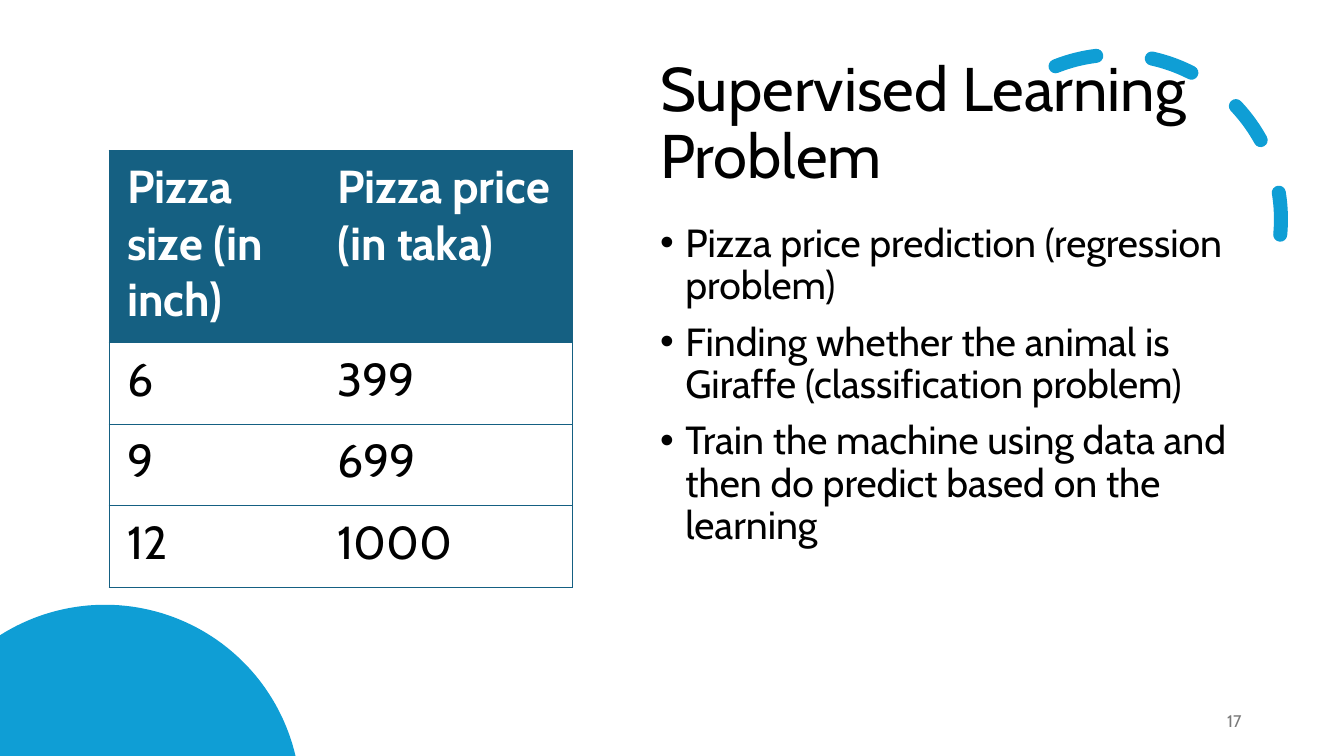
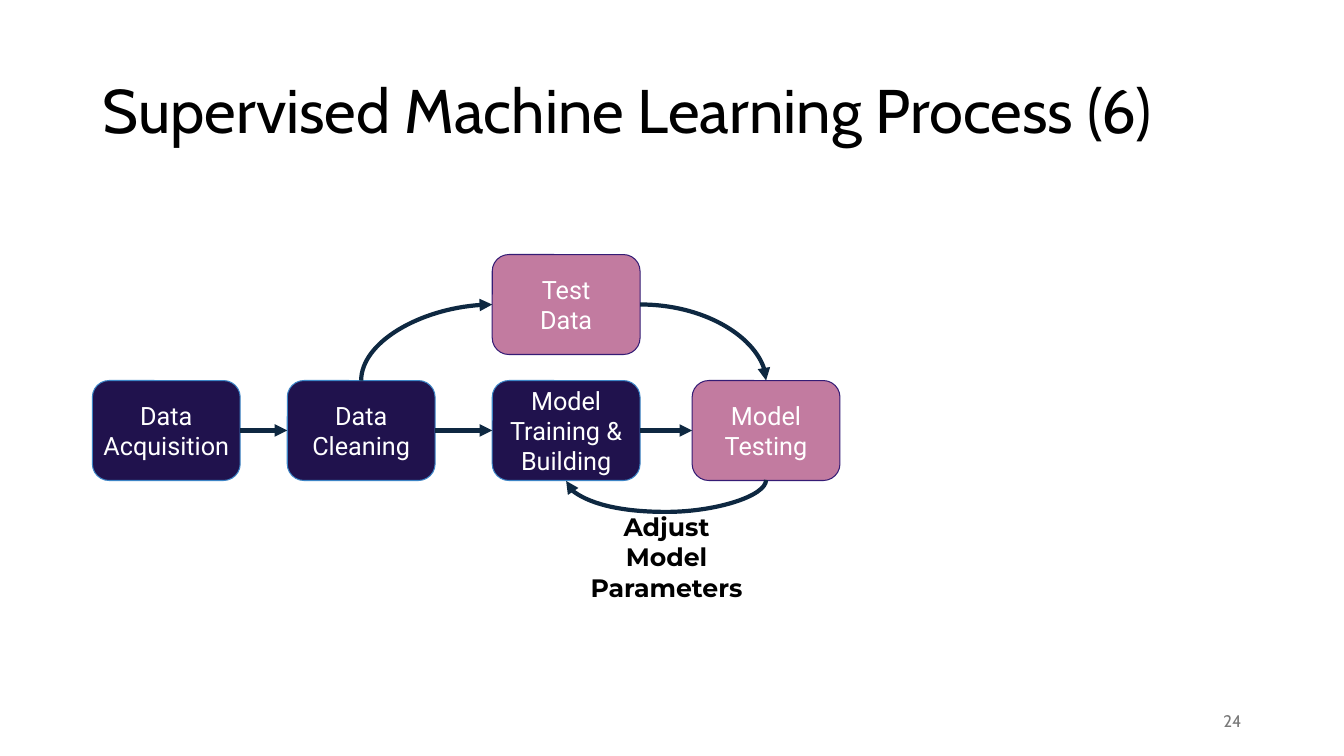
from math import acos, asin, cos, pi, sin
from pptx import Presentation, util as u
from pptx.dml.color import RGBColor
from pptx.enum import dml, shapes, text
from pptx.oxml import parse_xml
from pptx.oxml.ns import nsdecls, qn
from pptx.oxml.xmlchemy import OxmlElement

BLACK = RGBColor(0, 0, 0)
WHITE = RGBColor(255, 255, 255)
GREY = RGBColor(0x79, 0x79, 0x79)
SKY = RGBColor(0x0F, 0x9E, 0xD5)
TEAL = RGBColor(0x15, 0x60, 0x82)
NAVY = RGBColor(0x0E, 0x28, 0x41)
PLUM = RGBColor(0x20, 0x12, 0x4D)
EDGE = RGBColor(0x3D, 0x85, 0xC6)
PINK = RGBColor(0xC2, 0x7B, 0xA0)
GRAPE = RGBColor(0x35, 0x1C, 0x75)

CELL = u.Inches(1) // 12
COLS, ROWS = 160, 90
MID = text.MSO_ANCHOR.MIDDLE
LEFT, RIGHT, MIDST = text.PP_ALIGN.LEFT, text.PP_ALIGN.RIGHT, text.PP_ALIGN.CENTER
FIXED = {"auto_size": text.MSO_AUTO_SIZE.NONE, "word_wrap": True}
SNUG = {"margin_left": 0, "margin_right": 0, "margin_top": 0, "margin_bottom": 0}
PAD = dict.fromkeys(SNUG, u.Inches(0.1))

TITLE = {
    "frame": {**FIXED, "vertical_anchor": MID},
    "para": {"alignment": LEFT, "line_spacing": 0.9},
    "font": {"name": "Cabin", "size": u.Pt(44)}, "ink": BLACK}
LIST = {
    "frame": FIXED,
    "para": {"alignment": LEFT, "line_spacing": 0.9, "space_before": u.Pt(10)},
    "font": {"name": "Cabin", "size": u.Pt(28)}, "ink": BLACK}
PAGE = {
    "frame": {**FIXED, "vertical_anchor": MID},
    "para": {"alignment": RIGHT},
    "font": {"name": "Cabin", "size": u.Pt(12)}, "ink": GREY}
STEP = {
    "frame": {**FIXED, **SNUG, "vertical_anchor": MID},
    "para": {"alignment": MIDST},
    "font": {"name": "Roboto", "size": u.Pt(18)}, "ink": WHITE}
NOTE = {
    "frame": {**FIXED, **PAD},
    "para": {"alignment": MIDST},
    "font": {"name": "Montserrat", "size": u.Pt(18), "bold": True}, "ink": BLACK}
HEAD = {
    "frame": {"word_wrap": True}, "para": {"alignment": LEFT},
    "font": {"name": "Cabin", "size": u.Pt(33), "bold": True}, "ink": WHITE}
DATA = {**HEAD, "font": {**HEAD["font"], "bold": False}, "ink": BLACK}


def at(*cells):
    return [round(c * CELL) for c in cells]


def write(frame, words, form):
    frame.text = words
    for key, val in form["frame"].items():
        setattr(frame, key, val)
    for i, para in enumerate(frame.paragraphs):
        for key, val in form["para"].items():
            setattr(para, key, val)
        if i == 0:
            para.space_before = u.Pt(0)
        for key, val in form["font"].items():
            setattr(para.font, key, val)
        para.font.color.rgb = form["ink"]


deck = Presentation()
deck.slide_width, deck.slide_height = at(COLS, ROWS)

pages = []
for kind, words, num, spot in (
        (1, "Supervised Learning Problem", "17", (77.4, 6.2, 71.6, 17.4)),
        (5, "Supervised Machine Learning Process (6)", "24", (11, 4.8, 138, 17.4))):
    page = deck.slides.add_slide(deck.slide_layouts[kind])
    title = page.shapes.title
    title.left, title.top, title.width, title.height = at(*spot)
    write(title.text_frame, words, TITLE)
    foot = page.shapes.add_textbox(*at(113, 83.4, 36, 4.8))
    write(foot.text_frame, num, PAGE)
    pages.append(page)
pizza, flow = pages

arc = pizza.shapes.add_shape(shapes.MSO_SHAPE.ARC, *at(113.3, 6.5, 39.2, 39.2))
arc.shadow.inherit = False
arc.fill.background()
arc.rotation = 66.1
arc.adjustments[0], arc.adjustments[1] = 144.42, 0
arc.line.color.rgb = SKY
arc.line.width = u.Pt(10)
arc.line.dash_style = dml.MSO_LINE.DASH
arc._element.spPr.find(qn("a:xfrm")).set("flipH", "1")
arc._element.spPr.find(qn("a:ln")).set("cap", "rnd")
pizza.shapes._spTree.insert(2, arc._element)

midx, midy, rad = 12.5, 95.3, 23.3
start = acos(midx / rad) - pi
end = -asin((midy - ROWS) / rad)
rim = []
for i in range(61):
    turn = start + (end - start) * i / 60
    rim.append(at(midx + rad * cos(turn), midy + rad * sin(turn)))
pen = pizza.shapes.build_freeform(*at(0, ROWS))
pen.add_line_segments(rim, close=True)
disc = pen.convert_to_shape()
disc.shadow.inherit = False
disc.fill.solid()
disc.fill.fore_color.rgb = SKY
disc.line.fill.background()

body = pizza.placeholders[1]
body.left, body.top, body.width, body.height = at(77.4, 26, 71.6, 55)
write(body.text_frame, "\n".join((
    "Pizza price prediction (regression problem)",
    "Finding whether the animal is Giraffe (classification problem)",
    "Train the machine using data and then do predict based on the learning")), LIST)
for para in body.text_frame.paragraphs:
    props = para._p.get_or_add_pPr()
    props.set("marL", str(3 * CELL))
    props.set("indent", str(-3 * CELL))

rows = (("Pizza size (in inch)", "Pizza price (in taka)"),
        ("6", "399"), ("9", "699"), ("12", "1000"))
wide, high = (25, 30.2), (22.9, 9.7, 9.7, 9.7)
grid = pizza.shapes.add_table(
    len(rows), len(wide), *at(13, 17.9, sum(wide), sum(high))).table
grid.first_row = grid.horz_banding = False
for col, size in zip(grid.columns, at(*wide)):
    col.width = size
for row, size in zip(grid.rows, at(*high)):
    row.height = size
for r, row in enumerate(rows):
    for c, words in enumerate(row):
        cell = grid.cell(r, c)
        write(cell.text_frame, words, DATA if r else HEAD)
        cell.margin_left = cell.margin_right = u.Inches(0.18)
        cell.margin_top = cell.margin_bottom = u.Inches(0.09)
        props = cell._tc.get_or_add_tcPr()
        for side in "LRTB":
            inner = side == "LR"[1 - c]
            paint = "<a:noFill/>" if inner else (
                f'<a:solidFill><a:srgbClr val="{TEAL}"/></a:solidFill>')
            props.append(parse_xml(
                f'<a:ln{side} {nsdecls("a")} w="{u.Pt(1)}">{paint}</a:ln{side}>'))
        if r:
            cell.fill.background()
        else:
            cell.fill.solid()
            cell.fill.fore_color.rgb = TEAL

steps = {}
for key, left, top, words, fill, edge in (
        ("get", 11, 45.3, "Data\nAcquisition", PLUM, EDGE),
        ("clean", 34.2, 45.3, "Data\nCleaning", PLUM, EDGE),
        ("train", 58.6, 45.3, "Model\nTraining &\nBuilding", PLUM, EDGE),
        ("test", 82.4, 45.3, "Model\nTesting", PINK, GRAPE),
        ("data", 58.6, 30.3, "Test\nData", PINK, GRAPE)):
    box = flow.shapes.add_shape(
        shapes.MSO_SHAPE.ROUNDED_RECTANGLE, *at(left, top, 17.6, 11.9))
    box.shadow.inherit = False
    box.fill.solid()
    box.fill.fore_color.rgb = fill
    box.line.color.rgb = edge
    box.line.width = u.Pt(0.75)
    write(box.text_frame, words, STEP)
    steps[key] = box

TOP, WEST, LOW, EAST = range(4)
for src, out, dst, into, kind, turn in (
        ("get", EAST, "clean", WEST, None, 0),
        ("clean", EAST, "train", WEST, None, 0),
        ("train", EAST, "test", WEST, None, 0),
        ("clean", TOP, "data", WEST, "curvedConnector2", 270),
        ("data", EAST, "test", TOP, "curvedConnector2", 0),
        ("test", LOW, "train", LOW, "curvedConnector3", 90)):
    form = shapes.MSO_CONNECTOR.CURVE if kind else shapes.MSO_CONNECTOR.STRAIGHT
    link = flow.shapes.add_connector(form, 0, 0, 0, 0)
    link.begin_connect(steps[src], out)
    link.end_connect(steps[dst], into)
    link.line.color.rgb = NAVY
    link.line.width = u.Pt(3)
    props = link._element.spPr
    tip = OxmlElement("a:tailEnd")
    tip.set("type", "triangle")
    props.find(qn("a:ln")).append(tip)
    props.append(OxmlElement("a:effectLst"))
    if kind:
        midx = (link.begin_x + link.end_x) // 2
        midy = (link.begin_y + link.end_y) // 2
        size = [link.width, max(link.height, CELL // 8)]
        if turn:
            size.reverse()
        frame = props.find(qn("a:xfrm"))
        frame.attrib.clear()
        frame.set("rot", str(turn * 60000))
        link.width, link.height = size
        link.left, link.top = midx - size[0] // 2, midy - size[1] // 2
        shape = props.find(qn("a:prstGeom"))
        shape.set("prst", kind)
        if kind == "curvedConnector3":
            bend = OxmlElement("a:gd")
            bend.set("name", "adj1")
            bend.set("fmla", "val 3100000")
            shape[0].append(bend)

note = flow.shapes.add_textbox(*at(67.5, 59.7, 23.7, 13.4))
write(note.text_frame, "Adjust\nModel\nParameters", NOTE)

deck.save("out.pptx")
